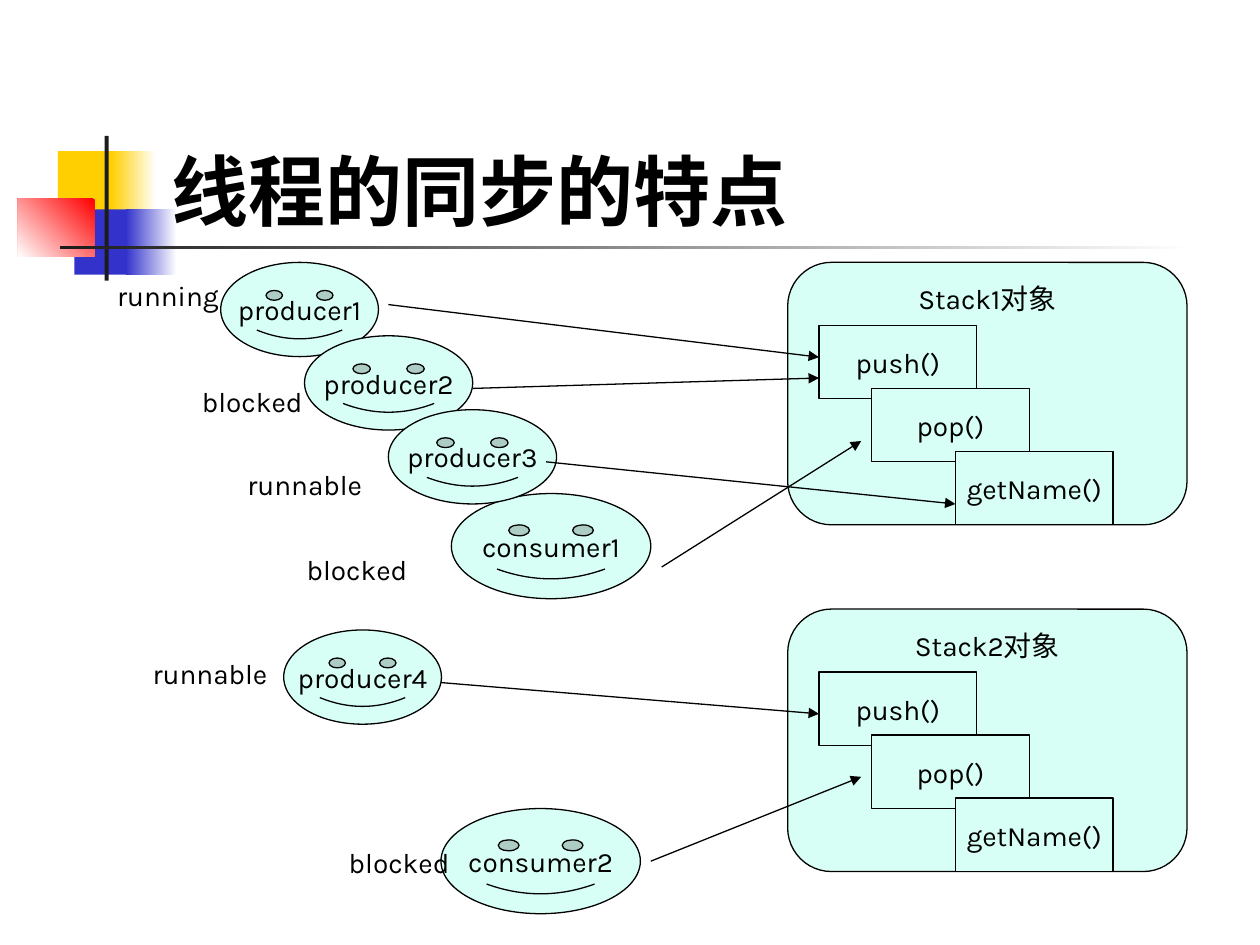
from lxml.etree import SubElement
from pptx import Presentation
from pptx.dml.color import RGBColor
from pptx.enum.shapes import MSO_CONNECTOR, MSO_SHAPE
from pptx.enum.text import MSO_ANCHOR, MSO_AUTO_SIZE, PP_ALIGN
from pptx.oxml.ns import qn
from pptx.util import Cm, Pt

BLACK = RGBColor(0x00, 0x00, 0x00)
WHITE = RGBColor(0xFF, 0xFF, 0xFF)
MINT = RGBColor(0xD7, 0xFF, 0xF5)
YELLOW = RGBColor(0xFF, 0xCF, 0x01)
BLUE = RGBColor(0x33, 0x33, 0xCC)
RED = RGBColor(0xFF, 0x00, 0x00)
CHARCOAL = RGBColor(0x1C, 0x1C, 0x1C)

# left, top, width, height in cm, colours, gradient angle (counter-clockwise)
ORNAMENTS = [
    (1.17, 3.05, 1.22, 1.32, [YELLOW], None),
    (2.24, 3.05, 0.91, 1.32, [WHITE, YELLOW], 180),
    (1.5, 4.22, 1.17, 1.32, [BLUE], None),
    (2.54, 4.22, 1.02, 1.32, [WHITE, BLUE], 180),
    (0.36, 4.01, 1.55, 1.17, [RED, WHITE], 225),
    (2.11, 2.74, 0.08, 2.92, [CHARCOAL], None),
    (1.22, 4.95, 22.86, 0.08, [WHITE, CHARCOAL], 180),
]
STACKS = [("Stack1对象", 5.29), ("Stack2对象", 12.28)]
METHODS = [("push()", 16.51), ("pop()", 17.57), ("getName()", 19.26)]
METHOD_STEP = 1.27
THREADS = [
    ("producer1", 4.45, 5.29, 3.18, 1.9),
    ("consumer1", 9.1, 9.95, 4.02, 2.12),
    ("producer2", 6.14, 6.77, 3.39, 1.9),
    ("producer3", 7.83, 8.26, 3.39, 1.9),
    ("producer4", 5.72, 12.7, 3.18, 1.9),
    ("consumer2", 8.89, 16.3, 4.02, 2.12),
]
CALLS = [
    (7.83, 6.14, 16.51, 7.2),
    (9.53, 7.83, 16.51, 7.62),
    (11.01, 9.31, 19.26, 10.16),
    (13.34, 11.43, 17.36, 8.89),
    (8.89, 13.76, 16.51, 14.39),
    (13.12, 17.36, 17.36, 15.66),
]
STATES = [
    ("running", 1.69, 5.5),
    ("blocked", 3.39, 7.62),
    ("runnable", 4.45, 9.31),
    ("blocked", 5.5, 11.01),
    ("runnable", 2.54, 13.12),
    ("blocked", 6.35, 16.93),
]


def apply(target, formats):
    for name, value in formats.items():
        setattr(target, name, value)


class ThreadSlide:
    font = {"name": "Karla", "size": Pt(16), "bold": False}
    title_font = {"name": "Karla", "size": Pt(44), "bold": True}
    line_width = Pt(0.75)

    def __init__(self, presentation):
        self.slide = presentation.slides.add_slide(presentation.slide_layouts[5])
        self.shapes = self.slide.shapes

    def set_text(self, shape, text, font, alignment=PP_ALIGN.CENTER, **frame_formats):
        frame = shape.text_frame
        frame.text = text
        apply(frame, frame_formats)
        paragraph = frame.paragraphs[0]
        paragraph.alignment = alignment
        apply(paragraph.font, font)
        paragraph.font.color.rgb = BLACK

    def title(self, text, left, top, width, height):
        title = self.shapes.title
        apply(title, {"left": Cm(left), "top": Cm(top),
                      "width": Cm(width), "height": Cm(height)})
        self.set_text(title, text, self.title_font, PP_ALIGN.LEFT, word_wrap=True,
                      auto_size=MSO_AUTO_SIZE.NONE, vertical_anchor=MSO_ANCHOR.BOTTOM)
        # Bring the title in front of the ornaments
        self.shapes.element.append(title.element)

    def ornament(self, left, top, width, height, colours, angle):
        shape = self.shapes.add_shape(
            MSO_SHAPE.RECTANGLE, Cm(left), Cm(top), Cm(width), Cm(height))
        shape.shadow.inherit = False
        shape.line.fill.background()
        if angle is None:
            shape.fill.solid()
            shape.fill.fore_color.rgb = colours[0]
            return
        shape.fill.gradient()
        shape.fill.gradient_angle = angle
        for position, (stop, colour) in enumerate(zip(shape.fill.gradient_stops, colours)):
            stop.position = position
            stop.color.rgb = colour

    def node(self, kind, text, left, top, width, height, anchor=MSO_ANCHOR.MIDDLE):
        shape = self.shapes.add_shape(kind, Cm(left), Cm(top), Cm(width), Cm(height))
        shape.shadow.inherit = False
        shape.fill.solid()
        shape.fill.fore_color.rgb = MINT
        shape.line.color.rgb = BLACK
        shape.line.width = self.line_width
        self.set_text(shape, text, self.font, word_wrap=False, vertical_anchor=anchor)
        return shape

    def stack(self, text, top):
        """Draw a stack object with its methods in descending steps."""
        self.node(MSO_SHAPE.FLOWCHART_ALTERNATE_PROCESS, text,
                  15.88, top, 8.05, 5.29, MSO_ANCHOR.TOP)
        for step, (name, left) in enumerate(METHODS, start=1):
            self.node(MSO_SHAPE.RECTANGLE, name,
                      left, top + step * METHOD_STEP, 3.18, 1.48)

    def thread(self, text, left, top, width, height):
        face = self.node(MSO_SHAPE.SMILEY_FACE, text, left, top, width, height)
        face.adjustments[0] = 0.09

    def arrow(self, *ends):
        connector = self.shapes.add_connector(
            MSO_CONNECTOR.STRAIGHT, *(Cm(value) for value in ends))
        connector.line.color.rgb = BLACK
        connector.line.width = self.line_width
        properties = connector.element.spPr
        SubElement(properties.find(qn("a:ln")), qn("a:tailEnd"), type="triangle")
        SubElement(properties, qn("a:effectLst"))

    def label(self, text, left, top):
        box = self.shapes.add_textbox(Cm(left), Cm(top), Cm(3.39), Cm(0.94))
        self.set_text(box, text, self.font, word_wrap=True,
                      auto_size=MSO_AUTO_SIZE.SHAPE_TO_FIT_TEXT)


def main():
    presentation = Presentation()
    apply(presentation, {"slide_width": Cm(25.4), "slide_height": Cm(19.05)})
    slide = ThreadSlide(presentation)
    for ornament in ORNAMENTS:
        slide.ornament(*ornament)
    slide.title("线程的同步的特点", 3.2, 1.7, 21.64, 3.18)
    for draw, items in (
        (slide.stack, STACKS),
        (slide.thread, THREADS),
        (slide.arrow, CALLS),
        (slide.label, STATES),
    ):
        for item in items:
            draw(*item)
    presentation.save("out.pptx")


if __name__ == "__main__":
    main()
